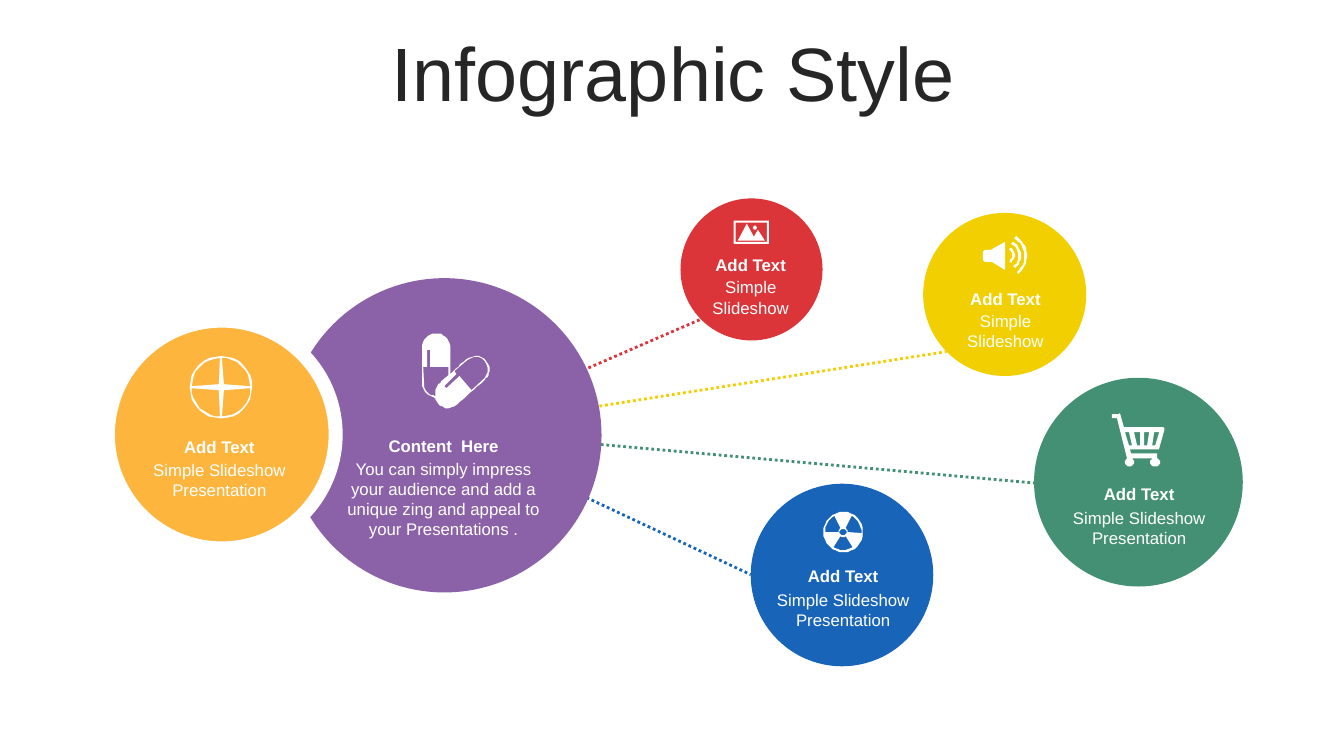
from dataclasses import dataclass

from lxml import etree
from pptx import Presentation
from pptx.dml.color import RGBColor
from pptx.enum.dml import MSO_LINE
from pptx.enum.shapes import MSO_CONNECTOR, MSO_SHAPE
from pptx.enum.text import MSO_ANCHOR, PP_ALIGN
from pptx.oxml.ns import qn
from pptx.util import Cm, Pt

DOTS = MSO_LINE.ROUND_DOT
STRAIGHT = MSO_CONNECTOR.STRAIGHT
OVAL = MSO_SHAPE.OVAL
MIDDLE = MSO_ANCHOR.MIDDLE
TOP = MSO_ANCHOR.TOP
CENTER = PP_ALIGN.CENTER

FONT = "Arial"
WHITE = "FFFFFF"
INK = "262626"
GRID = Cm(0.0254)
STEPS = 8
HUB = (11.18, 10.85)
HEAD = "Add Text"
SHORT = "Simple Slideshow"
LONG = "Simple Slideshow Presentation"

GLOBE = """M 31 62 C 14 62 0 48 0 31 0 14 14 0 31 0 48 0 63 14 62 31 62 48 49 62 31 62
M 60 30 C 60 14 46 1 32 2 L 34 28
M 60 32 L 34 34 32 60 C 48 60 61 47 60 32
M 30 2 C 13 2 2 17 2 30 L 29 28
M 2 32 C 1 46 16 61 30 60 L 29 34"""

PILLS = """M 28 40 C 33 35 38 30 43 26 51 19 63 22 66 31 68 37 66 42 62 46 53 54 44 62 35 70 \
28 77 17 74 13 65 13 64 12 63 11 63 5 62 0 56 0 49 L 0 14 C 0 6 6 0 13 0 21 -1 27 5 28 12
M 34 40 L 22 52 24 54 37 42 49 56 62 44 C 66 40 66 32 62 27 58 22 50 22 45 26 L 32 37
M 1 33 L 2 51 C 2 57 7 61 13 62 12 56 15 51 19 47 L 25 42 26 41 26 33 8 33 8 16 5 16 5 33"""

FRAME = """M 21 5 C 22 5 23 6 23 7 23 8 22 9 21 9 20 9 19 8 19 7 19 6 20 5 21 5
M 13 3 L 20 16 24 9 31 20 4 20
M 2 2 L 2 21 33 21 33 2
M 0 0 L 35 0 35 23 0 23"""

SOUND = """M 27 12 C 30 13 31 16 32 19 32 22 30 25 28 27 L 26 25 C 28 24 29 22 29 19 29 17 28 15 26 14
M 30 6 C 34 8 37 13 38 19 38 24 36 29 32 32 L 30 30 C 34 28 36 23 35 19 35 14 32 10 28 8
M 22 6 L 22 34 9 26 3 26 C 1 26 0 24 0 23 L 0 17 C 0 16 1 14 3 14 L 8 14
M 33 0 C 39 4 43 11 44 18 44 26 41 33 35 38 L 34 36 C 39 32 42 25 41 18 41 12 37 6 31 3"""

CART = """M 42 19 L 40 32 43 32 47 19
M 32 19 L 32 32 35 32 37 19
M 22 19 L 25 32 28 32 28 19
M 13 19 L 17 32 20 32 17 19
M 8 0 L 12 14 50 14 C 52 14 53 16 52 17 L 47 35 C 47 36 46 36 45 36 L 18 36 19 40 45 40 45 45 \
C 47 46 48 47 48 49 48 51 46 53 43 53 40 53 38 51 38 49 38 47 39 46 41 45 L 20 45 \
C 21 46 22 47 22 49 22 51 20 53 17 53 15 53 13 51 13 49 13 47 14 46 15 45 L 5 5 0 5 0 1 7 1"""

ATOM = """M 17 24 L 10 35 C 16 39 23 39 29 35 L 22 24 C 21 25 18 25 17 24
M 20 17 C 18 17 16 18 16 20 16 22 18 23 20 23 21 23 23 22 23 20 23 18 21 17 20 17
M 28 4 L 22 16 C 23 17 24 18 24 20 L 38 21 C 38 14 34 7 28 4
M 11 4 C 5 7 1 14 2 20 L 15 20 C 15 18 16 17 17 16
M 20 0 C 31 0 39 9 39 20 39 31 31 40 20 40 9 40 0 31 0 20 0 9 9 0 20 0"""


@dataclass
class Disc:
    x: float
    y: float
    size: float
    color: str
    rim: float = 0


@dataclass
class Label:
    x: float
    top: float
    low: float
    width: float
    head: str
    body: str


@dataclass
class Icon:
    x: float
    y: float
    lines: str


@dataclass
class Link:
    x: float
    y: float
    color: str


LINKS = [
    Link(17.65, 8.05, "DC3539"),
    Link(23.85, 8.86, "F1CF01"),
    Link(26.06, 12.17, "449074"),
    Link(18.92, 14.48, "1764B9"),
]
DISCS = [
    Disc(11.2, 10.97, 7.92, "8B62A8"),
    Disc(5.59, 10.95, 5.74, "FDB53E", 10),
    Disc(21.22, 14.49, 4.6, "1764B9"),
    Disc(25.32, 7.42, 4.11, "F1CF01"),
    Disc(18.94, 6.79, 3.58, "DC3539"),
    Disc(28.69, 12.15, 5.26, "449074"),
]
LABELS = [
    Label(5.53, 10.87, 11.46, 4.78, HEAD, LONG),
    Label(11.18, 10.85, 11.43, 5.46, "Content  Here",
          "You can simply impress your audience and add a unique zing and appeal to your Presentations ."),
    Label(21.25, 14.12, 14.73, 4.78, HEAD, LONG),
    Label(25.34, 7.16, 7.7, 3.58, HEAD, SHORT),
    Label(18.92, 6.3, 6.86, 3.25, HEAD, SHORT),
    Label(28.71, 12.07, 12.67, 4.78, HEAD, LONG),
]
ICONS = [
    Icon(28.02, 10.41, CART),
    Icon(24.77, 5.94, SOUND),
    Icon(20.75, 12.9, ATOM),
    Icon(18.49, 5.56, FRAME),
    Icon(10.64, 8.41, PILLS),
    Icon(4.78, 8.97, GLOBE),
]


def paint(target, color: str) -> None:
    target.solid()
    target.fore_color.rgb = RGBColor.from_string(color)


def add_text(slide, x: float, y: float, width: float, height: float, text: str,
             size: int = 12, color: str = WHITE, bold: bool = False, anchor=TOP):
    frame = slide.shapes.add_textbox(Cm(x), Cm(y), Cm(width), Cm(height)).text_frame
    frame.word_wrap = True
    frame.vertical_anchor = anchor
    part = frame.paragraphs[0]
    part.alignment = CENTER
    run = part.add_run()
    run.text = text
    run.font.name = FONT
    run.font.size = Pt(size)
    run.font.bold = bold
    paint(run.font.fill, color)
    return part


def draw_link(slide, link: Link) -> None:
    line = slide.shapes.add_connector(STRAIGHT, Cm(HUB[0]), Cm(HUB[1]), Cm(link.x), Cm(link.y))
    paint(line.line.fill, link.color)
    line.line.width = Pt(2)
    line.line.dash_style = DOTS
    etree.SubElement(line._element.spPr, qn("a:effectLst"))


def draw_disc(slide, disc: Disc) -> None:
    half = disc.size / 2
    shape = slide.shapes.add_shape(OVAL, Cm(disc.x - half), Cm(disc.y - half),
                                   Cm(disc.size), Cm(disc.size))
    shape.shadow.inherit = False
    paint(shape.fill, disc.color)
    if disc.rim:
        paint(shape.line.fill, WHITE)
        shape.line.width = Pt(disc.rim)
    else:
        shape.line.fill.background()


def draw_label(slide, label: Label) -> None:
    left = label.x - label.width / 2
    add_text(slide, left, label.top, label.width, 0.76, label.head, bold=True)
    add_text(slide, left, label.low, label.width, 1.27, label.body)


def bend(a: tuple, b: tuple, c: tuple, d: tuple) -> list[tuple]:
    spots = []
    for step in range(1, STEPS + 1):
        t = step / STEPS
        u = 1 - t
        spots.append(tuple(u**3 * p + 3 * u * u * t * q + 3 * u * t * t * r + t**3 * s
                           for p, q, r, s in zip(a, b, c, d)))
    return spots


def trace(line: str) -> list[tuple]:
    spots, mode, wait, nums = [], "M", [], []
    for word in line.split():
        if word.isalpha():
            mode = word
            continue
        nums.append(float(word))
        if len(nums) < 2:
            continue
        wait.append(tuple(nums))
        nums = []
        if mode != "C":
            spots += wait
            wait = []
        elif len(wait) == 3:
            spots += bend(spots[-1], *wait)
            wait = []
    return spots


def draw_icon(slide, icon: Icon) -> None:
    loops = [trace(line) for line in icon.lines.splitlines()]
    pen = slide.shapes.build_freeform(*loops[0][0], scale=GRID)
    for index, loop in enumerate(loops):
        if index:
            pen.move_to(*loop[0])
        pen.add_line_segments(loop[1:], close=True)
    shape = pen.convert_to_shape(Cm(icon.x), Cm(icon.y))
    shape.shadow.inherit = False
    paint(shape.fill, WHITE)
    shape.line.fill.background()


def main() -> None:
    deck = Presentation()
    deck.slide_width, deck.slide_height = Cm(33.87), Cm(19.05)
    slide = deck.slides.add_slide(deck.slide_layouts[6])
    title = add_text(slide, 0.89, 0.94, 32.16, 2.01, "Infographic Style", 54, INK, anchor=MIDDLE)
    title.line_spacing = 0.9
    title.space_before = Pt(10)
    for items, draw in ((LINKS, draw_link), (DISCS, draw_disc),
                        (LABELS, draw_label), (ICONS, draw_icon)):
        for item in items:
            draw(slide, item)
    deck.save("out.pptx")


if __name__ == "__main__":
    main()
